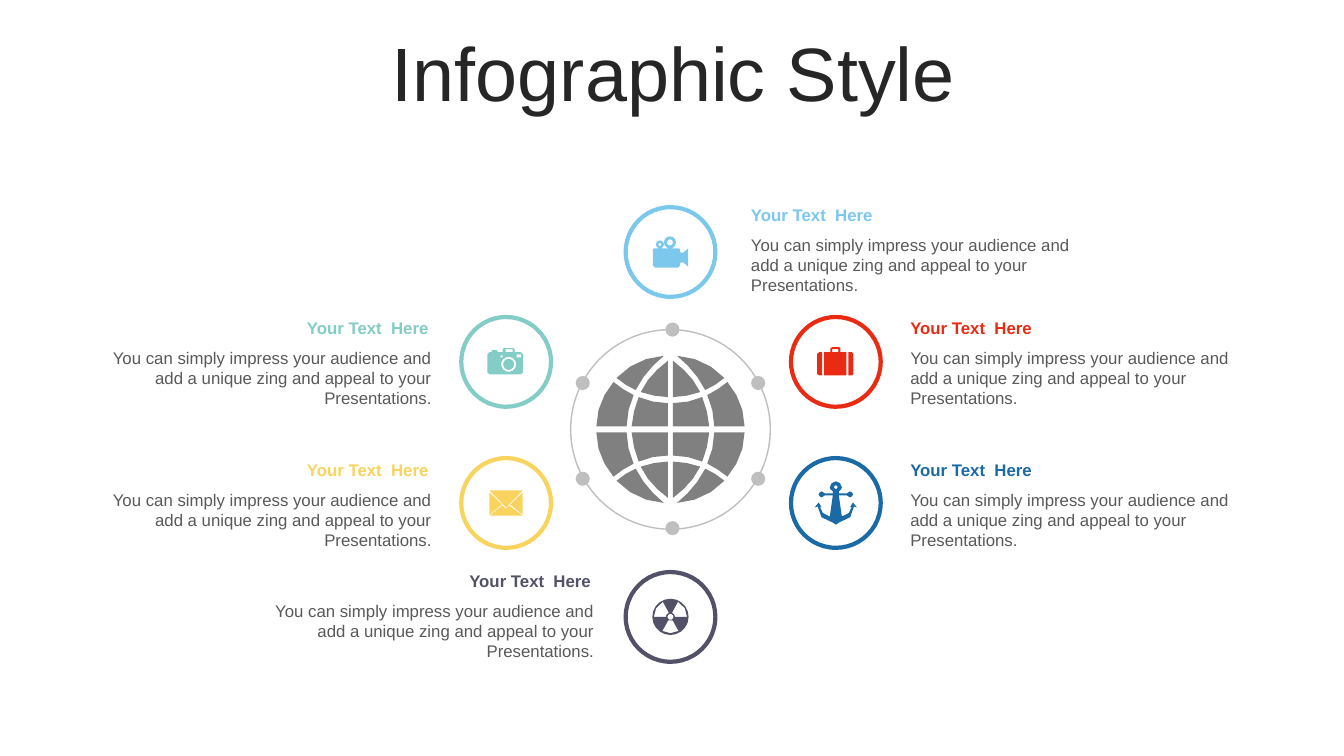
from itertools import product
from math import cos, dist, pi, sin

from pptx import Presentation
from pptx.dml.color import RGBColor
from pptx.enum.shapes import MSO_SHAPE
from pptx.enum.text import MSO_ANCHOR, PP_ALIGN
from pptx.util import Inches, Pt

BODY = "You can simply impress your audience and add a unique zing and appeal to your Presentations."

GLOBE_QUARTER = """
M 34.5 39 C 41.5 42 47.5 46 53.5 51 C 41.5 64 24.5 72 6.5 73 C 17.5 64 27.5 53 34.5 39
M 2.5 32 C 11.5 32 20.5 34 29.5 37 C 23.5 50 13.5 60 2.5 68
M 43.5 3 L 73.5 3 C 73.5 20 66.5 35 56.5 47 C 50.5 42 44.5 38 36.5 34 C 40.5 25 43.5 14 43.5 3
M 2.5 3 L 38.5 3 C 37.5 13 35.5 23 31.5 32 C 22.5 28 12.5 26 2.5 26"""

VIDEO = """
O -10.5 -7.5 1.5 O -10.5 -7.5 4 O -0.5 -9.5 3 O -0.5 -9.5 6
M -16.5 -3.5 L 8.5 -3.5 9.5 -2.5 9.5 0.5 11.5 0.5 11.5 1.5 17.5 -3.5 17.5 14.5
11.5 9.5 11.5 10.5 9.5 10.5 9.5 13.5 7.5 15.5 -15.5 15.5 -17.5 13.5 -17.5 -2.5"""

CAMERA = """
O 2.5 2.5 5.5 O 2.5 2.5 7.5 R -5.5 -6.5 2 2 R 10.5 -7.5 4.5 3 R -0.5 -12.5 7 3
M -2.5 -13.5 L 7.5 -13.5 8.5 -12.5 8.5 -9.5 14.5 -9.5 16.5 -7.5 16.5 10.5 14.5 12.5
-16.5 12.5 -18.5 10.5 -18.5 -7.5 -16.5 -9.5 -14.5 -9.5 -14.5 -11.5 -9.5 -11.5
-8.5 -10.5 -8.5 -9.5 -3.5 -9.5 -3.5 -12.5"""

SUITCASE = """
M 12.5 -9.5 L 16 -9.5 17.5 -8 17.5 12 16 13.5 12.5 13.5
M -13.5 -9.5 L -16.5 -9.5 -18.5 -8 -18.5 12 -16.5 13.5 -13.5 13.5
R -11.5 -9.5 22 23
M -5.5 -9.5 L -5.5 -13.5 -3.5 -14.5 3.5 -14.5 4.5 -13.5 4.5 -9.5 2.5 -9.5 2.5 -12.5 -3.5 -12.5 -3.5 -9.5"""

ENVELOPE = """
M 3 2.5 L 16.5 12.5 -16.5 12.5 -4 2.5 0 5.5
M 16.5 -10.5 L 16.5 11.5 4 1.5
M -16.5 -10.5 L -4 1.5 -16.5 11.5
M -16.5 -12.5 L 16.5 -12.5 0 4.5"""

ANCHOR = """
O 0 -15.7 1.8
M 0 -21.5 C 3 -21.5 6 -18.5 6 -15.5 C 6 -14.5 5 -12.5 3 -11.5 L 3 -9.5 11 -9.5
14 -11.5 16 -10.5 17 -8.5 16 -6.5 14 -5.5 11 -7.5 3 -7.5 6 13.5
C 11 11.5 16 9.5 16 3.5 L 14 4.5 17 -0.5 21 4.5 18 3.5 C 18 11.5 13 18.5 3 19.5 L 0 21.5 S"""

RADIATION = """
O 0 0 18 O 0 0 3
M 7.5 -15 L 1.5 -4 C 3.5 -3 4.5 -2 4.5 0 L 16.5 0 C 16.5 -6 13.5 -12 7.5 -15
M -7.5 -15 L -1.5 -4 C -3.5 -3 -4.5 -2 -4.5 0 L -16.5 0 C -16.5 -6 -13.5 -12 -7.5 -15
M -2.2 3.5 L -8 14 C -3 17 3 17 8 14 L 2.2 3.5"""

CALLOUTS = [
    (RADIATION, "525168", 6.65, 6.12, 2.52, 5.61, 3.47, PP_ALIGN.RIGHT),
    (ENVELOPE, "F8D45E", 5.02, 4.99, 1.02, 4.51, 3.36, PP_ALIGN.RIGHT),
    (CAMERA, "84CCC6", 5.02, 3.59, 1.02, 3.1, 3.36, PP_ALIGN.RIGHT),
    (ANCHOR, "1A6BA5", 8.29, 4.99, 8.93, 4.51, 3.39, PP_ALIGN.LEFT),
    (SUITCASE, "EA2B13", 8.29, 3.59, 8.93, 3.1, 3.39, PP_ALIGN.LEFT),
    (VIDEO, "7CC8EC", 6.65, 2.5, 7.35, 1.98, 3.58, PP_ALIGN.LEFT),
]


def rgb(value):
    """Turn a hex string into a colour."""
    return RGBColor.from_string(value)


def bezier(a, b, c, d):
    """Return points along a cubic curve, leaving out its start."""
    steps = 3 if dist(a, d) > 40 else 2
    ts = [i / steps for i in range(1, steps + 1)]
    return [tuple((1 - t) ** 3 * a[k] + 3 * t * (1 - t) ** 2 * b[k]
                  + 3 * t * t * (1 - t) * c[k] + t ** 3 * d[k] for k in (0, 1)) for t in ts]


def circle_points(x, y, radius):
    """Return points around a circle, more for a larger one."""
    count = 8 + int(radius * 2 / 3)
    angles = [2 * pi * i / count for i in range(count)]
    return [(x + radius * cos(a), y + radius * sin(a)) for a in angles]


def trace(drawing):
    """Read M, L, C, O (circle), R (rectangle) and S (mirror) into contours."""
    groups = []
    for token in drawing.split():
        if token.isalpha():
            groups.append((token, []))
        else:
            groups[-1][1].append(float(token))
    contours = []
    for cmd, n in groups:
        pts = list(zip(n[::2], n[1::2]))
        if cmd == "M":
            contours.append(pts)
        elif cmd == "L":
            contours[-1] += pts
        elif cmd == "C":
            contours[-1] += bezier(contours[-1][-1], *pts)
        elif cmd == "S":
            contours[-1] += [(-x, y) for x, y in contours[-1][-2:0:-1]]
        elif cmd == "O":
            contours.append(circle_points(*n))
        else:
            x, y, w, h = n
            contours.append([(x, y), (x + w, y), (x + w, y + h), (x, y + h)])
    return contours


def add_outline(s, contours, cx, cy, color):
    """Fill contours given in hundredths of an inch around a centre."""
    placed = [[(Inches(cx + x / 100), Inches(cy + y / 100)) for x, y in c] for c in contours]
    builder = s.shapes.build_freeform(*placed[0][0])
    for i, pts in enumerate(placed):
        if i:
            builder.move_to(*pts[0])
        builder.add_line_segments(pts[1:], close=True)
    sp = builder.convert_to_shape()
    sp.shadow.inherit = False
    sp.fill.solid()
    sp.fill.fore_color.rgb = rgb(color)
    sp.line.fill.background()


def add_circle(s, cx, cy, size, fill=None, line=None, width=1):
    """Place a circle around a centre."""
    sp = s.shapes.add_shape(MSO_SHAPE.OVAL, Inches(cx - size / 2), Inches(cy - size / 2),
                            Inches(size), Inches(size))
    sp.shadow.inherit = False
    if fill:
        sp.fill.solid()
        sp.fill.fore_color.rgb = rgb(fill)
    else:
        sp.fill.background()
    if line:
        sp.line.color.rgb = rgb(line)
        sp.line.width = Pt(width)
    else:
        sp.line.fill.background()


def write(tf, text, size, color, align, bold=False):
    """Write one formatted paragraph into a text frame."""
    tf.word_wrap = True
    p = tf.paragraphs[0]
    p.alignment = align
    r = p.add_run()
    r.text = text
    r.font.name = "Arial"
    r.font.size = Pt(size)
    r.font.bold = bold
    r.font.color.rgb = rgb(color)
    return p


def add_title(s, x, y, w, h):
    """Place the slide title."""
    title = s.shapes.title
    title.left, title.top, title.width, title.height = map(Inches, (x, y, w, h))
    title.text_frame.vertical_anchor = MSO_ANCHOR.MIDDLE
    p = write(title.text_frame, "Infographic Style", 54, "262626", PP_ALIGN.CENTER)
    p.line_spacing = 0.9


def add_hub(s, cx, cy):
    """Draw the globe, its orbit and the six dots."""
    quarter = trace(GLOBE_QUARTER)
    cells = [[(x * sx, y * sy) for x, y in cell]
             for sx, sy in product((1, -1), repeat=2) for cell in quarter]
    add_outline(s, cells, cx, cy, "808080")
    add_circle(s, cx, cy, 1.98, line="BFBFBF")
    for dx, dy in [(0.02, -0.99), (0.02, 0.98), *product((-0.87, 0.87), (-0.46, 0.49))]:
        add_circle(s, cx + dx, cy + dy, 0.14, fill="BFBFBF")


def add_caption(s, x, y, w, color, align):
    """Place a heading with its text below."""
    head = s.shapes.add_textbox(Inches(x), Inches(y), Inches(w - 0.03), Inches(0.3))
    write(head.text_frame, "Your Text  Here", 12, color, align, bold=True)
    body = s.shapes.add_textbox(Inches(x), Inches(y + 0.3), Inches(w), Inches(0.71))
    write(body.text_frame, BODY, 12, "595959", align)


def add_badge(s, icon, color, cx, cy):
    """Draw a ringed icon."""
    add_circle(s, cx, cy, 0.89, "FFFFFF", color, 3)
    add_outline(s, trace(icon), cx, cy, color)


def main():
    """Build and save the slide."""
    prs = Presentation()
    prs.slide_width, prs.slide_height = Inches(13.33), Inches(7.5)
    s = prs.slides.add_slide(prs.slide_layouts[5])
    add_title(s, 0.35, 0.37, 12.66, 0.79)
    add_hub(s, 6.65, 4.26)
    for icon, color, cx, cy, x, y, w, align in CALLOUTS:
        add_caption(s, x, y, w, color, align)
        add_badge(s, icon, color, cx, cy)
    prs.save("out.pptx")


if __name__ == "__main__":
    main()
